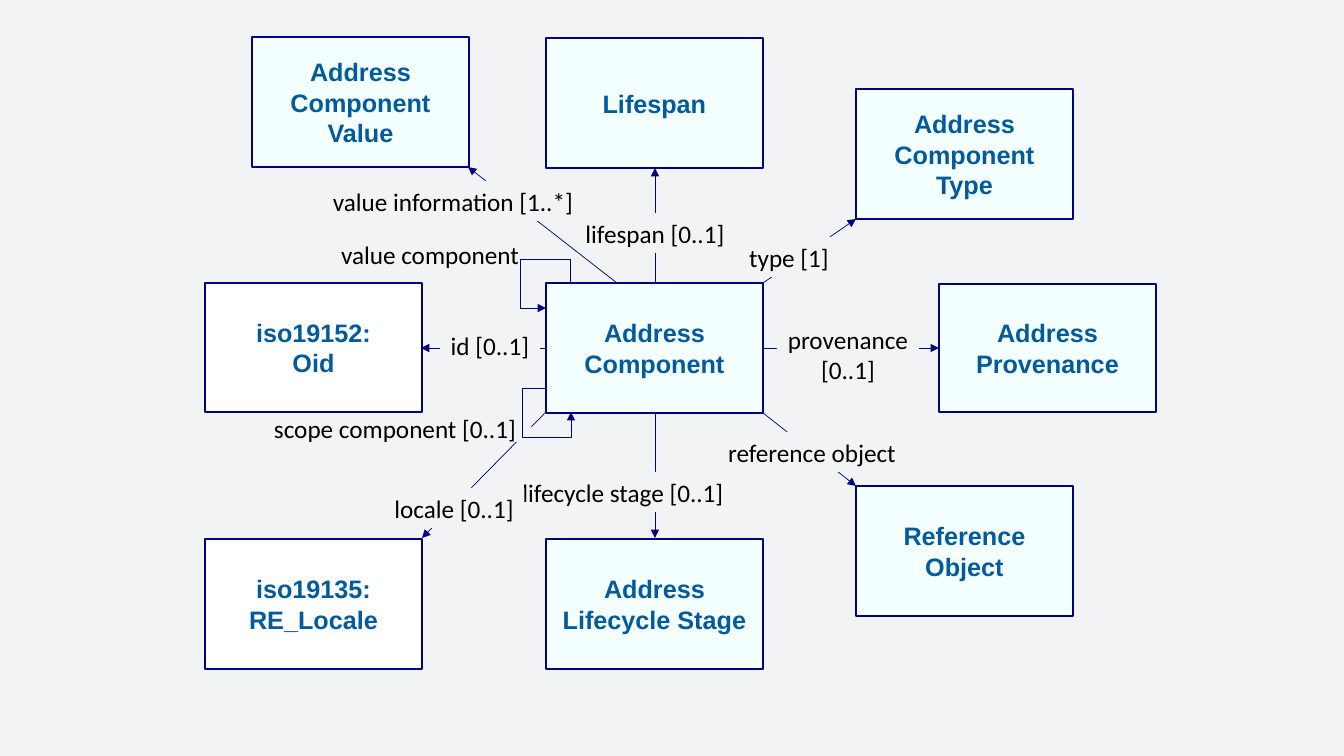
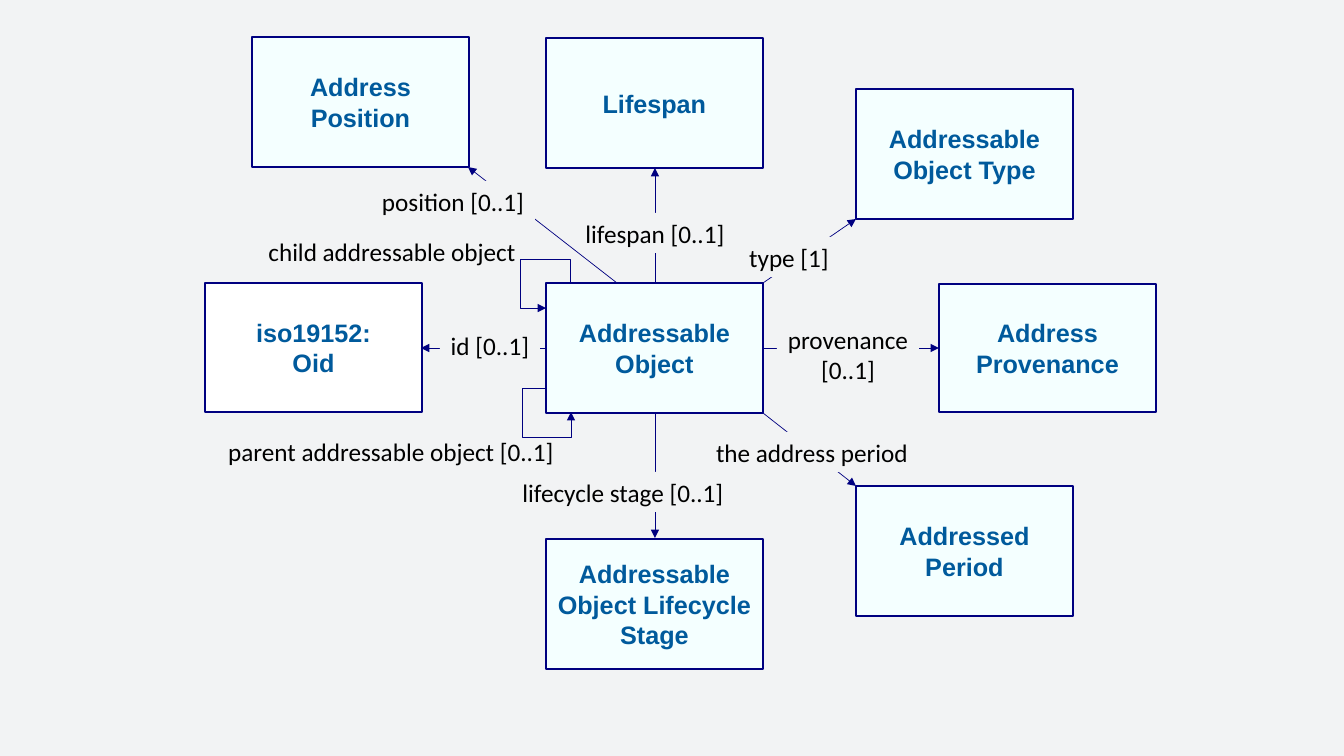
from pptx import Presentation, util as u
from pptx.dml.color import RGBColor
from pptx.enum import shapes, text
from pptx.oxml import ns, xmlchemy

PX = 914400 / 100.8
HUE = {"page": "F2F3F4", "mint": "F4FFFF", "white": "FFFFFF",
       "line": "000080", "title": "005A9C", "ink": "000000"}
WIDE, HIGH = 217, 130
HUB = (546, 283)
SIDE = 24  # offset of a loop's two ends from the hub corner

# box left, top, height, fill; line start and end; label centre and top
SPOTS = {
    "north": ((546, 38, HIGH, "mint"), (655, 283, 655, 168), (655, 213)),
    "type": ((856, 89, HIGH, "mint"), (763, 283, 856, 219), (789, 237)),
    "east": ((939, 284, 128, "mint"), (763, 348, 939, 348), (848, 319)),
    "object": ((856, 486, HIGH, "mint"), (763, 413, 856, 486), (812, 432)),
    "south": ((546, 539, HIGH, "mint"), (655, 413, 655, 538), (623, 472)),
    "west": ((205, 283, 129, "white"), (546, 348, 421, 348), (490, 325)),
    "value": ((252, 37, HIGH, "mint"), (617, 283, 468, 167), (453, 181)),
    "locale": ((205, 539, HIGH, "white"), (546, 412, 422, 538), (454, 488)),
}

# spot: box text, label text, label width
SHARED = {
    "north": ("Lifespan", "lifespan [0..1]", 160),
    "east": ("Address Provenance", "provenance\n[0..1]", 142),
    "west": ("iso19152:\nOid", "id [0..1]", 100),
}
COMPONENT = SHARED | {
    "type": ("Address Component Type", "type [1]", 101),
    "object": ("Reference Object", "reference object", 191),
    "south": ("Address Lifecycle Stage", "lifecycle stage [0..1]", 224),
    "value": ("Address Component Value", "value information [1..*]", 263),
    "locale": ("iso19135: RE_Locale", "locale [0..1]", 141),
}
OBJECT = SHARED | {
    "type": ("Addressable Object Type", "type [1]", 101),
    "object": ("Addressed Period", "the address period", 215),
    "south": ("Addressable Object Lifecycle Stage",
              "lifecycle stage [0..1]", 224),
    "value": ("Address Position", "position [0..1]", 164),
}
# loop labels: text, centre, top, width
SLIDES = [
    ("Address Component", COMPONENT,
     [("value component", 430, 234, 201),
      ("scope component [0..1]", 395, 408, 265)]),
    ("Addressable Object", OBJECT,
     [("child addressable object", 392, 231, 270),
      ("parent addressable object [0..1]", 391, 431, 350)]),
]


def px(*nums):
    return [u.Emu(round(n * PX)) for n in nums]


def rgb(name):
    return RGBColor.from_string(HUE[name])


def paint(shape, fill):
    shape.fill.solid()
    shape.fill.fore_color.rgb = rgb(fill)


def write(frame, words, font="Calibri", hue="ink", bold=False,
          wrap=False, anchor=text.MSO_ANCHOR.TOP):
    frame.word_wrap = wrap
    frame.vertical_anchor = anchor
    para = frame.paragraphs[0]
    para.text = words
    para.alignment = text.PP_ALIGN.CENTER
    for run in para.runs:
        run.font.name = font
        run.font.size = u.Pt(18)
        run.font.bold = bold
        run.font.color.rgb = rgb(hue)


def rect(slide, left, top, wide, high, fill):
    shape = slide.shapes.add_shape(
        shapes.MSO_SHAPE.RECTANGLE, *px(left, top, wide, high))
    shape.shadow.inherit = False
    paint(shape, fill)
    shape.line.fill.background()
    return shape


def box(slide, words, left, top, high=HIGH, fill="mint"):
    shape = rect(slide, left, top, WIDE, high, fill)
    shape.line.color.rgb = rgb("line")
    shape.line.width = u.Pt(1)
    write(shape.text_frame, words, font="Arial", hue="title", bold=True,
          wrap=True, anchor=text.MSO_ANCHOR.MIDDLE)


def label(slide, words, mid, top, wide, fill=None):
    high = 40 + 31 * words.count("\n")
    shape = slide.shapes.add_textbox(*px(mid - wide / 2, top, wide, high))
    if fill:
        paint(shape, fill)
    write(shape.text_frame, words)
    shape.text_frame.auto_size = text.MSO_AUTO_SIZE.SHAPE_TO_FIT_TEXT


def arrow(slide, ends, kind=shapes.MSO_CONNECTOR.STRAIGHT):
    link = slide.shapes.add_connector(kind, *px(*ends))
    link.line.color.rgb = rgb("line")
    link.line.width = u.Pt(0.5)
    tip = xmlchemy.OxmlElement("a:tailEnd")
    tip.set("type", "triangle")
    link.line._get_or_add_ln().append(tip)
    link._element.spPr.append(xmlchemy.OxmlElement("a:effectLst"))
    return link


def loop(slide, left, top, turn):
    """Arrow that leaves the hub round a corner and comes back to it."""
    link = arrow(slide, (left + SIDE, top + SIDE, left, top),
                 shapes.MSO_CONNECTOR.ELBOW)
    props = link._element.spPr
    props.find(ns.qn("a:xfrm")).set("rot", str(turn * 60000))
    geom = props.find(ns.qn("a:prstGeom"))
    geom.set("prst", "bentConnector4")
    for name, size in (("adj1", -103100), ("adj2", 206200)):
        guide = xmlchemy.OxmlElement("a:gd")
        guide.set("name", name)
        guide.set("fmla", f"val {size}")
        geom.find(ns.qn("a:avLst")).append(guide)


def draw(slide, hub, spokes, notes):
    for spot, (at, ends, mark) in SPOTS.items():
        if spot in spokes:
            name, role, wide = spokes[spot]
            box(slide, name, *at)
            arrow(slide, ends)
            label(slide, role, *mark, wide, fill="page")
    if "locale" in spokes:
        rect(slide, 515, 427, 18, 15, "page")  # gap where lines cross
    loop(slide, 546, 284, 270)
    loop(slide, 547, 388, 180)
    for note in notes:
        label(slide, *note)
    box(slide, hub, *HUB)


def main():
    deck = Presentation()
    deck.slide_width, deck.slide_height = px(1344, 756)
    paint(deck.slide_master.background, "page")
    for hub, spokes, notes in SLIDES:
        draw(deck.slides.add_slide(deck.slide_layouts[6]), hub, spokes, notes)
    deck.save("out.pptx")


if __name__ == "__main__":
    main()
